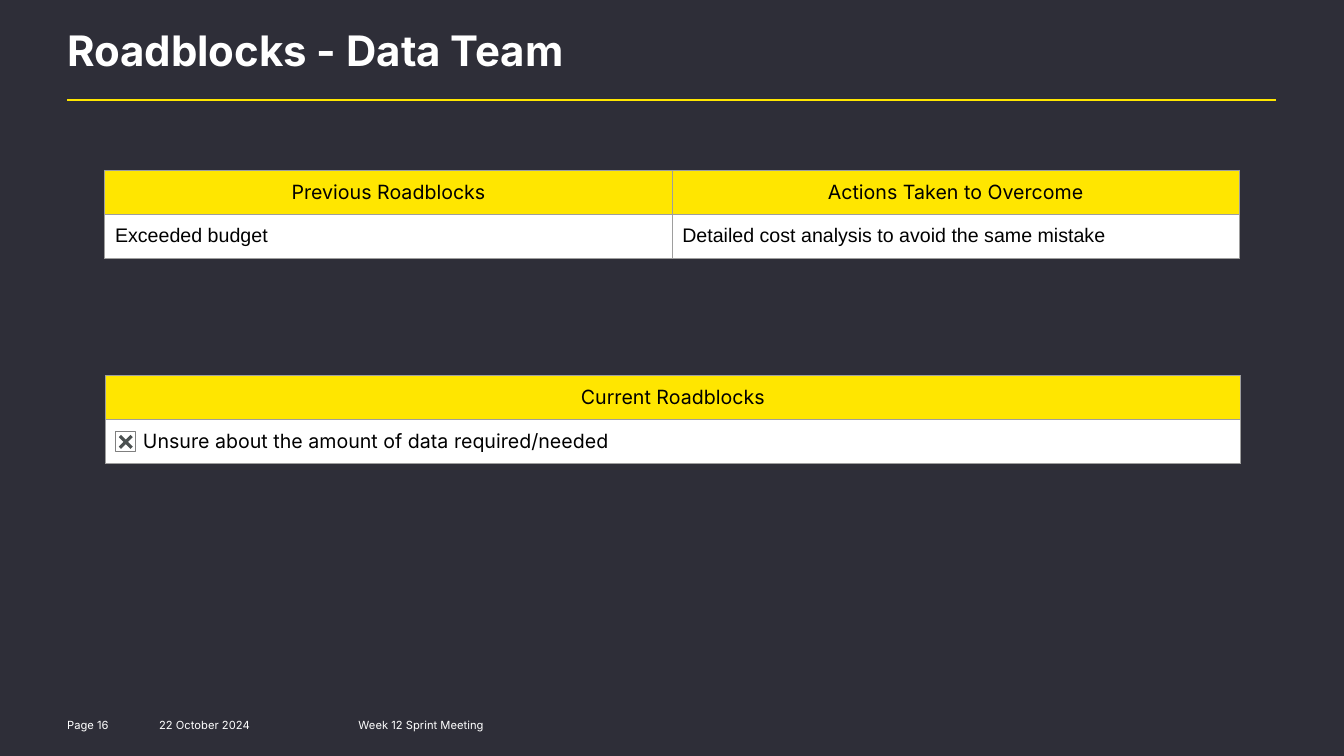
from dataclasses import dataclass

import pptx
import pptx.dml.color
import pptx.enum.shapes
import pptx.enum.text
import pptx.oxml
import pptx.oxml.ns
import pptx.util

Pt = pptx.util.Pt
RGB = pptx.dml.color.RGBColor.from_string
ALIGN = pptx.enum.text.PP_ALIGN


@dataclass(frozen=True)
class Theme:
    background: str = "2E2E38"
    accent: str = "FFE600"
    light: str = "FFFFFF"
    dark: str = "000000"
    border: str = "9E9E9E"
    box_line: str = "7F7F7F"
    cross: str = "4B5050"
    font: str = "Inter"
    plain_font: str = "Arial"
    title_size: float = 30
    table_size: float = 14
    footer_size: float = 8
    border_width: float = 0.75


@dataclass(frozen=True)
class RoadblockTable:
    left: float
    top: float
    headers: list[str]
    entries: list[str]
    entry_font: str
    entry_indent: float = 7.2


@dataclass(frozen=True)
class FooterItem:
    text: str
    left: float
    width: float
    inset: float = 7.2


THEME = Theme()
TABLE_WIDTH, ROW_HEIGHT = 810.8, 31.3
MARGIN, RULE_TOP, RULE_RIGHT = 48, 71.3, 912.2

TABLES = [
    RoadblockTable(75, 121.7, ["Previous Roadblocks", "Actions Taken to Overcome"],
                   ["Exceeded budget", "Detailed cost analysis to avoid the same mistake"],
                   THEME.plain_font),
    RoadblockTable(75.5, 268.5, ["Current Roadblocks"],
                   ["Unsure about the amount of data required/needed"],
                   THEME.font, entry_indent=26.7),
]
FOOTER = [
    FooterItem("Page 16", MARGIN, 52.6, inset=0),
    FooterItem("22 October 2024", 106.6, 93.6),
    FooterItem("Week 12 Sprint Meeting", 249.1, 255.6),
]


def write_text(frame, text: str, *, size: float, color: str, font: str = THEME.font,
               bold: bool = False, align=ALIGN.LEFT, spacing: float | None = None) -> None:
    para = frame.paragraphs[0]
    para.alignment = align
    para.line_spacing = spacing
    span = para.add_run()
    span.text = text
    span.font.name, span.font.size, span.font.bold = font, Pt(size), bold
    span.font.color.rgb = RGB(color)


def set_insets(frame, left: float, top: float, right: float, bottom: float) -> None:
    frame.margin_left, frame.margin_top = Pt(left), Pt(top)
    frame.margin_right, frame.margin_bottom = Pt(right), Pt(bottom)


def add_title(page, text: str) -> None:
    title = page.shapes.title
    title.left, title.top, title.width, title.height = Pt(MARGIN), Pt(23), Pt(864.7), Pt(46.8)
    frame = title.text_frame
    frame.auto_size = pptx.enum.text.MSO_AUTO_SIZE.NONE
    frame.vertical_anchor = pptx.enum.text.MSO_ANCHOR.TOP
    set_insets(frame, 0, 0, 0, 0)
    write_text(frame, text, size=THEME.title_size, color=THEME.light, bold=True, spacing=0.85)


def add_rule(page) -> None:
    rule = page.shapes.add_connector(pptx.enum.shapes.MSO_CONNECTOR.STRAIGHT, Pt(MARGIN),
                                     Pt(RULE_TOP), Pt(RULE_RIGHT), Pt(RULE_TOP))
    rule.line.color.rgb = RGB(THEME.accent)
    rule.line.width = Pt(1.5)
    properties = rule._element.spPr
    properties.append(pptx.oxml.parse_xml(f'<a:effectLst {pptx.oxml.ns.nsdecls("a")}/>'))


def set_borders(cell) -> None:
    properties = cell._tc.get_or_add_tcPr()
    for index, side in enumerate(("lnL", "lnR", "lnT", "lnB")):
        properties.insert(index, pptx.oxml.parse_xml(
            f'<a:{side} {pptx.oxml.ns.nsdecls("a")} w="{Pt(THEME.border_width)}">'
            f'<a:solidFill><a:srgbClr val="{THEME.border}"/></a:solidFill></a:{side}>'))


def add_roadblock_table(page, item: RoadblockTable) -> None:
    count = len(item.headers)
    table = page.shapes.add_table(2, count, Pt(item.left), Pt(item.top),
                                  Pt(TABLE_WIDTH), Pt(2 * ROW_HEIGHT)).table
    table.first_row = table.horz_banding = False
    rows = [
        (item.headers, THEME.accent, THEME.font, ALIGN.CENTER, 7.2),
        (item.entries, THEME.light, item.entry_font, ALIGN.LEFT, item.entry_indent),
    ]
    for row, (texts, fill, font, align, indent) in enumerate(rows):
        for column, text in enumerate(texts):
            cell = table.cell(row, column)
            cell.fill.solid()
            cell.fill.fore_color.rgb = RGB(fill)
            set_insets(cell, indent, 7.2, 7.2, 7.2)
            set_borders(cell)
            write_text(cell.text_frame, text, size=THEME.table_size, color=THEME.dark,
                       font=font, align=align)


def add_crossed_box(page, center_x: float, center_y: float, side: float) -> None:
    box = page.shapes.add_shape(pptx.enum.shapes.MSO_SHAPE.RECTANGLE, Pt(center_x - side / 2),
                                Pt(center_y - side / 2), Pt(side), Pt(side))
    box.shadow.inherit = False
    box.fill.background()
    box.line.color.rgb = RGB(THEME.box_line)
    box.line.width = Pt(THEME.border_width)

    # Cross: one arm turned through four quarters
    arm = [(0, -1.6), (3.4, -5), (5, -3.4)]
    corners = []
    for _ in range(4):
        corners += arm
        arm = [(-y, x) for x, y in arm]
    points = [(Pt(center_x + x), Pt(center_y + y)) for x, y in corners]
    builder = page.shapes.build_freeform(*points[0])
    builder.add_line_segments(points[1:], close=True)
    cross = builder.convert_to_shape()
    cross.shadow.inherit = False
    cross.fill.solid()
    cross.fill.fore_color.rgb = RGB(THEME.cross)
    cross.line.fill.background()


def add_footer_item(page, item: FooterItem) -> None:
    box = page.shapes.add_textbox(Pt(item.left), Pt(509.8), Pt(item.width), Pt(14.4))
    box.text_frame.word_wrap = True
    set_insets(box.text_frame, item.inset, 3.6, 7.2, 3.6)
    write_text(box.text_frame, item.text, size=THEME.footer_size, color=THEME.light)


def main() -> None:
    deck = pptx.Presentation()
    deck.slide_width, deck.slide_height = Pt(960.5), Pt(540)
    page = deck.slides.add_slide(deck.slide_layouts.get_by_name("Title Only"))
    page.background.fill.solid()
    page.background.fill.fore_color.rgb = RGB(THEME.background)

    # Heading
    add_title(page, "Roadblocks - Data Team")
    add_rule(page)

    # Roadblocks
    for table in TABLES:
        add_roadblock_table(page, table)
    add_crossed_box(page, 89.9, 315.6, 14.4)

    # Footer
    for item in FOOTER:
        add_footer_item(page, item)

    deck.save("out.pptx")


if __name__ == "__main__":
    main()
